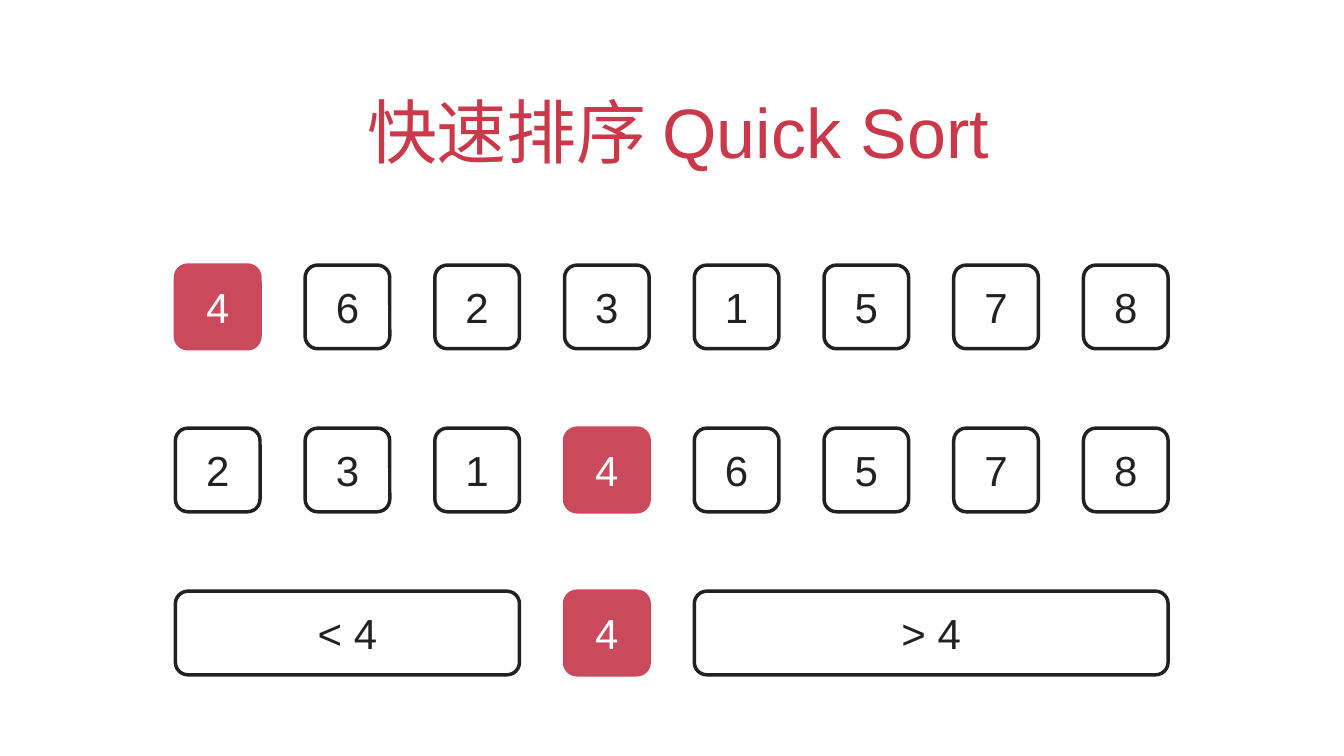
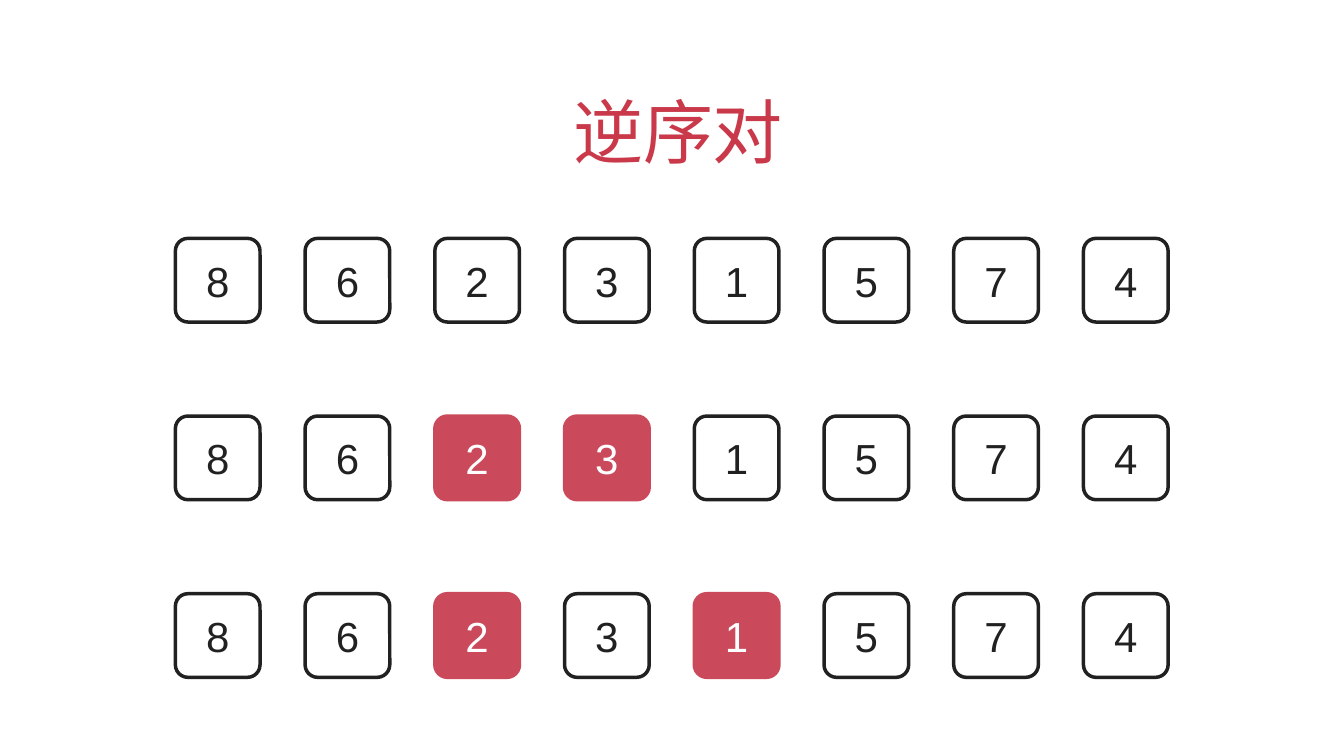
from dataclasses import dataclass

from pptx import Presentation
from pptx.dml.color import RGBColor
from pptx.enum.shapes import MSO_SHAPE
from pptx.enum.text import MSO_ANCHOR, PP_ALIGN
from pptx.shapes.group import GroupShape
from pptx.slide import Slide
from pptx.text.text import TextFrame
from pptx.util import Inches, Pt

SLIDE_WIDTH, SLIDE_HEIGHT = 26.67, 15
FONT = "Arial"
TITLE_RED, PIVOT_RED = "C9394A", "CA495A"
INK, WHITE = "212121", "FFFFFF"

# Grid of eight array positions, in inches
COLUMNS = 8
FIRST_LEFT, LAST_LEFT = 3.48, 21.5
COLUMN_STEP = (LAST_LEFT - FIRST_LEFT) / (COLUMNS - 1)
CELL_WIDTH, CELL_HEIGHT = 1.68, 1.66
CORNER = 0.15
INSET = 0.06


@dataclass(frozen=True)
class Cell:
    """A box over one or more array positions."""
    label: str
    column: int
    columns: int = 1
    marked: bool = False


@dataclass(frozen=True)
class Page:
    """A title and evenly spaced rows between two top edges."""
    title: str
    first_top: float
    last_top: float
    rows: list[list[Cell]]


def color(hex_code: str) -> RGBColor:
    """Turn a hex string into a colour."""
    return RGBColor.from_string(hex_code)


def array_row(numbers: str, marked: str = "") -> list[Cell]:
    """Make one cell per digit, marking the digits given."""
    return [Cell(number, column, marked=number in marked)
            for column, number in enumerate(numbers)]


def write(frame: TextFrame, text: str, size: int, ink: str,
          anchor: MSO_ANCHOR) -> None:
    """Write one centred paragraph with the shared font and insets."""
    frame.word_wrap = True
    frame.vertical_anchor = anchor
    frame.margin_left = frame.margin_right = Inches(INSET)
    frame.margin_top = frame.margin_bottom = Inches(INSET)
    paragraph = frame.paragraphs[0]
    paragraph.text = text
    paragraph.alignment = PP_ALIGN.CENTER
    paragraph.font.name = FONT
    paragraph.font.size = Pt(size)
    paragraph.font.color.rgb = color(ink)


def draw_title(slide: Slide, text: str) -> None:
    """Draw the slide title with its first-line indent."""
    title = slide.shapes.add_textbox(
        Inches(1.94), Inches(1.27), Inches(22.78), Inches(2.22))
    write(title.text_frame, text, 100, TITLE_RED, MSO_ANCHOR.BOTTOM)
    properties = title.text_frame.paragraphs[0]._p.get_or_add_pPr()
    properties.set("indent", str(Inches(0.25)))


def draw_cell(row: GroupShape, cell: Cell, top: float) -> None:
    """Draw a rounded box, filled when it is marked."""
    left = FIRST_LEFT + cell.column * COLUMN_STEP
    width = CELL_WIDTH + (cell.columns - 1) * COLUMN_STEP
    box = row.shapes.add_shape(
        MSO_SHAPE.ROUNDED_RECTANGLE, Inches(left), Inches(top),
        Inches(width), Inches(CELL_HEIGHT))
    box.adjustments[0] = CORNER
    box.shadow.inherit = False
    if cell.marked:
        box.fill.solid()
        box.fill.fore_color.rgb = color(PIVOT_RED)
    else:
        box.fill.background()
    box.line.color.rgb = color(PIVOT_RED if cell.marked else INK)
    box.line.width = Pt(5)
    write(box.text_frame, cell.label, 60, WHITE if cell.marked else INK,
          MSO_ANCHOR.MIDDLE)


def draw_page(presentation: Presentation, page: Page) -> None:
    """Add a slide with its title and rows of cells."""
    slide = presentation.slides.add_slide(presentation.slide_layouts[6])
    slide.background.fill.solid()
    slide.background.fill.fore_color.rgb = color(WHITE)
    draw_title(slide, page.title)
    row_step = (page.last_top - page.first_top) / (len(page.rows) - 1)
    for index, cells in enumerate(page.rows):
        row = slide.shapes.add_group_shape()
        for cell in cells:
            draw_cell(row, cell, page.first_top + index * row_step)


PAGES = [
    Page("快速排序 Quick Sort", 5.26, 11.73, [
        array_row("46231578", marked="4"),
        array_row("23146578", marked="4"),
        [Cell("< 4", 0, columns=3),
         Cell("4", 3, marked=True),
         Cell("> 4", 4, columns=4)],
    ]),
    Page("逆序对", 4.73, 11.78, [
        array_row("86231574", marked=marked) for marked in ("", "23", "21")
    ]),
]

presentation = Presentation()
presentation.slide_width = Inches(SLIDE_WIDTH)
presentation.slide_height = Inches(SLIDE_HEIGHT)
for page in PAGES:
    draw_page(presentation, page)
presentation.save("out.pptx")
